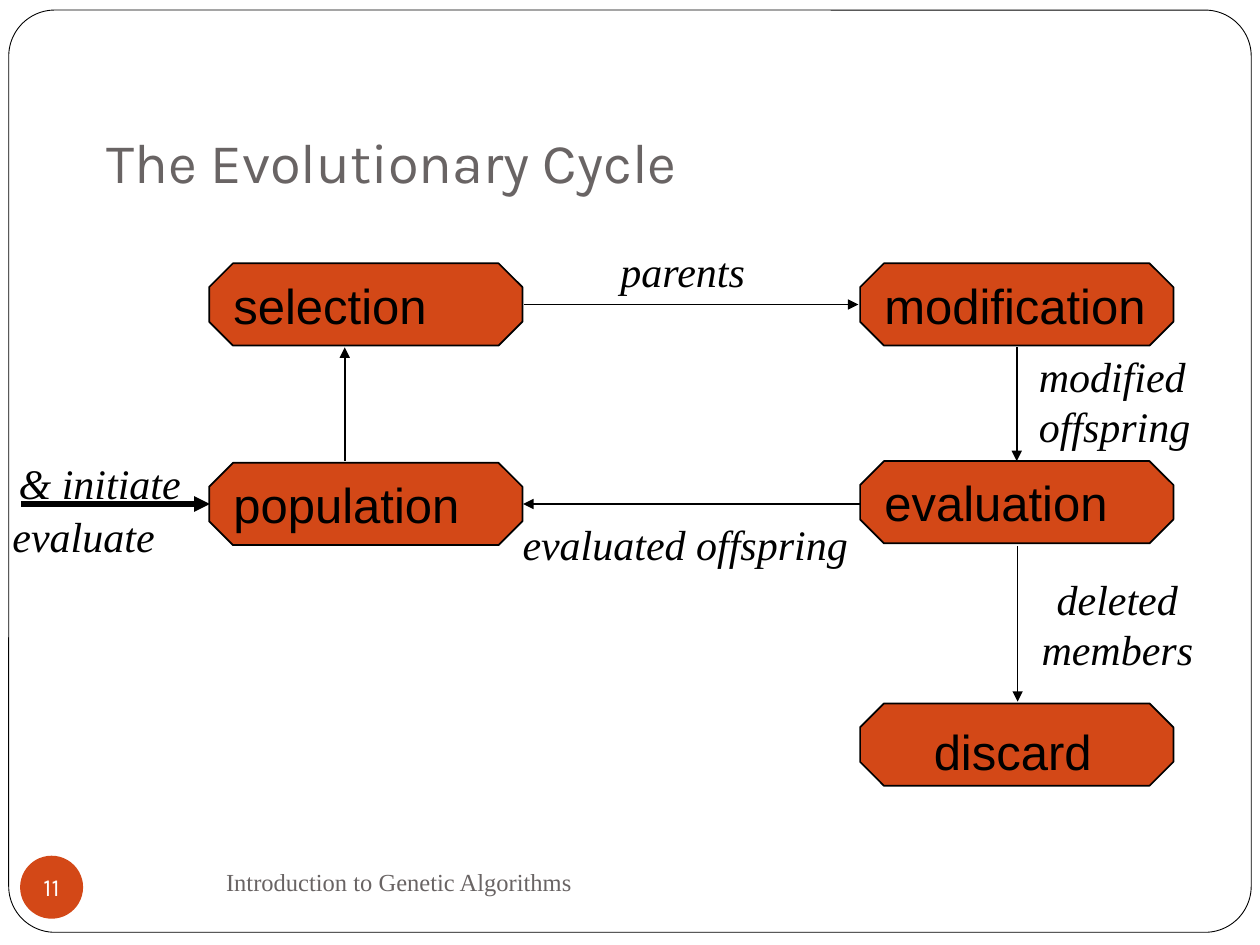
from pptx import Presentation
from pptx.dml.color import RGBColor as RGB
from pptx.enum.shapes import MSO_CONNECTOR as LINK, MSO_SHAPE as SHAPE
from pptx.enum.text import MSO_ANCHOR as ANCHOR, PP_ALIGN as ALIGN
from pptx.oxml.ns import qn
from pptx.util import Pt
from lxml.etree import SubElement

HUES = {"ink": "000000", "paper": "FFFFFF", "rust": "D34817", "gray": "696464"}
SERIF = "Times New Roman"

deck = Presentation()
deck.slide_width, deck.slide_height = Pt(720), Pt(540)
slide = deck.slides.add_slide(deck.slide_layouts[6])
shapes = slide.shapes


def add_text(frame, text, size, font, hue="ink", align=ALIGN.LEFT,
             anchor=ANCHOR.TOP, wrap=False, italic=False):
    frame.text = text
    frame.word_wrap = wrap
    frame.vertical_anchor = anchor
    for para in frame.paragraphs:
        para.alignment = align
        para.font.size = Pt(size)
        para.font.name = font
        para.font.italic = italic
        para.font.color.rgb = RGB.from_string(HUES[hue])


def add_form(kind, box, fill, line=None):
    form = shapes.add_shape(kind, *map(Pt, box))
    form.shadow.inherit = False
    form.fill.solid()
    form.fill.fore_color.rgb = RGB.from_string(HUES[fill])
    if line:
        form.line.color.rgb = RGB.from_string(HUES["ink"])
        form.line.width = Pt(line)
    else:
        form.line.fill.background()
    return form


# Page frame
frame = add_form(SHAPE.ROUNDED_RECTANGLE, (5, 5.75, 710, 527), "paper", 0.5)
frame.adjustments[0] = 0.05

# Title and footer
title = shapes.add_textbox(Pt(54), Pt(68), Pt(612), Pt(50.5)).text_frame
title.margin_bottom = Pt(7.2)
add_text(title, "The Evolutionary Cycle", 32, "Karla", "gray",
         anchor=ANCHOR.BOTTOM, wrap=True)
foot = shapes.add_textbox(Pt(72), Pt(486), Pt(312), Pt(36)).text_frame
add_text(foot, "Introduction to Genetic Algorithms", 14, SERIF, "gray",
         ALIGN.CENTER, ANCHOR.MIDDLE, True)

# Page number
badge = add_form(SHAPE.OVAL, (11.5, 489, 36, 36), "rust").text_frame
badge.margin_left = badge.margin_right = 0
badge.margin_top = badge.margin_bottom = 0
add_text(badge, "11", 14, "Karla", "paper", ALIGN.CENTER, ANCHOR.MIDDLE)

# Stages of the cycle
LEFT, RIGHT = 119.5, 491.5
for name, x, y in [
    ("selection", LEFT, 150.5),
    ("population", LEFT, 264.5),
    ("evaluation", RIGHT, 263.5),
    ("modification", RIGHT, 150.5),
    ("", RIGHT, 402),
]:
    stage = add_form(SHAPE.OCTAGON, (x, y, 179, 47), "rust", 1)
    stage.adjustments[0] = 0.29
    if name:
        add_text(stage.text_frame, name, 28, "Arial", anchor=ANCHOR.MIDDLE)
discard = shapes.add_textbox(Pt(526.5), Pt(409), Pt(120), Pt(40)).text_frame
add_text(discard, "discard", 28, "Arial", wrap=True)

# Arrows: start, end, width
for x1, y1, x2, y2, width in [
    (299.5, 174, 490.5, 174, 1),
    (197, 263.5, 197, 198.5, 1),
    (581.5, 312, 581.5, 401, 1),
    (491.5, 288, 299, 288, 1),
    (581, 198.5, 581, 263.5, 1),
    (12, 288, 120, 288, 3),
]:
    arrow = shapes.add_connector(LINK.STRAIGHT, *map(Pt, (x1, y1, x2, y2)))
    arrow.line.color.rgb = RGB.from_string(HUES["ink"])
    arrow.line.width = Pt(width)
    SubElement(arrow.line._get_or_add_ln(), qn("a:tailEnd"), type="triangle")
    SubElement(arrow._element.spPr, qn("a:effectLst"))

# Arrow labels
for text, x, y, w, h, align in [
    ("deleted\nmembers", 583, 324, 111, 65, ALIGN.CENTER),
    ("parents", 347.5, 137, 100, 36, ALIGN.LEFT),
    ("modified\noffspring", 586.5, 196.5, 115, 65, ALIGN.LEFT),
    ("evaluated offspring", 291.5, 293, 220, 36, ALIGN.LEFT),
    ("& initiate", 0, 258, 114, 36, ALIGN.CENTER),
    ("evaluate", 0, 288, 120, 36, ALIGN.LEFT),
]:
    label = shapes.add_textbox(Pt(x), Pt(y), Pt(w), Pt(h)).text_frame
    add_text(label, text, 24, SERIF, align=align, wrap=True, italic=True)

deck.save("out.pptx")
